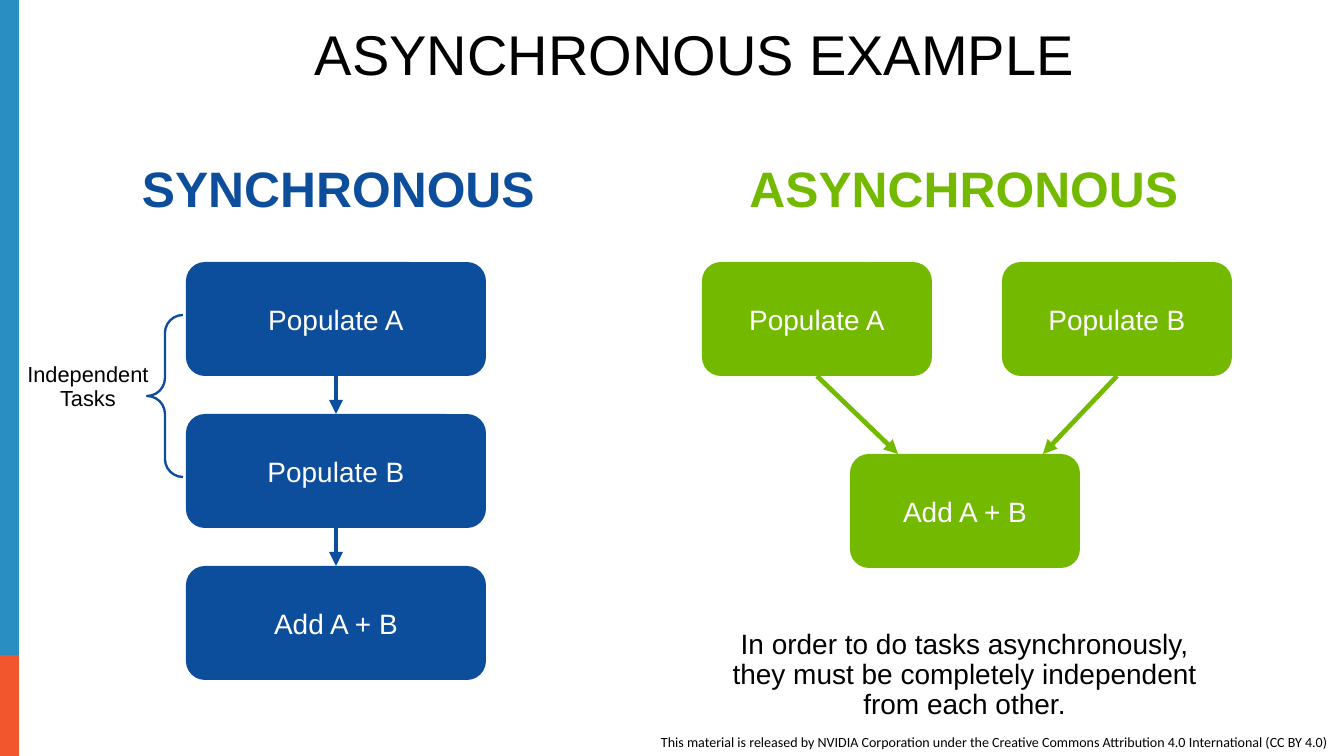
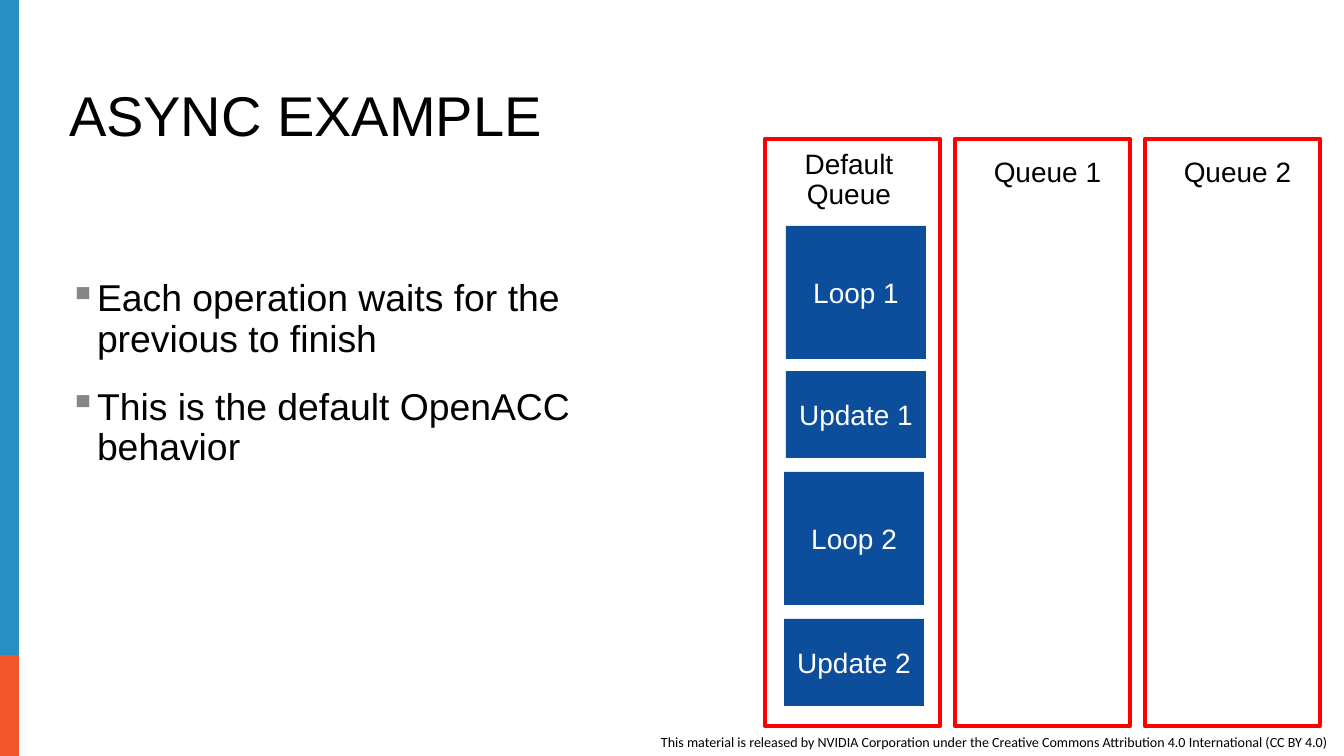
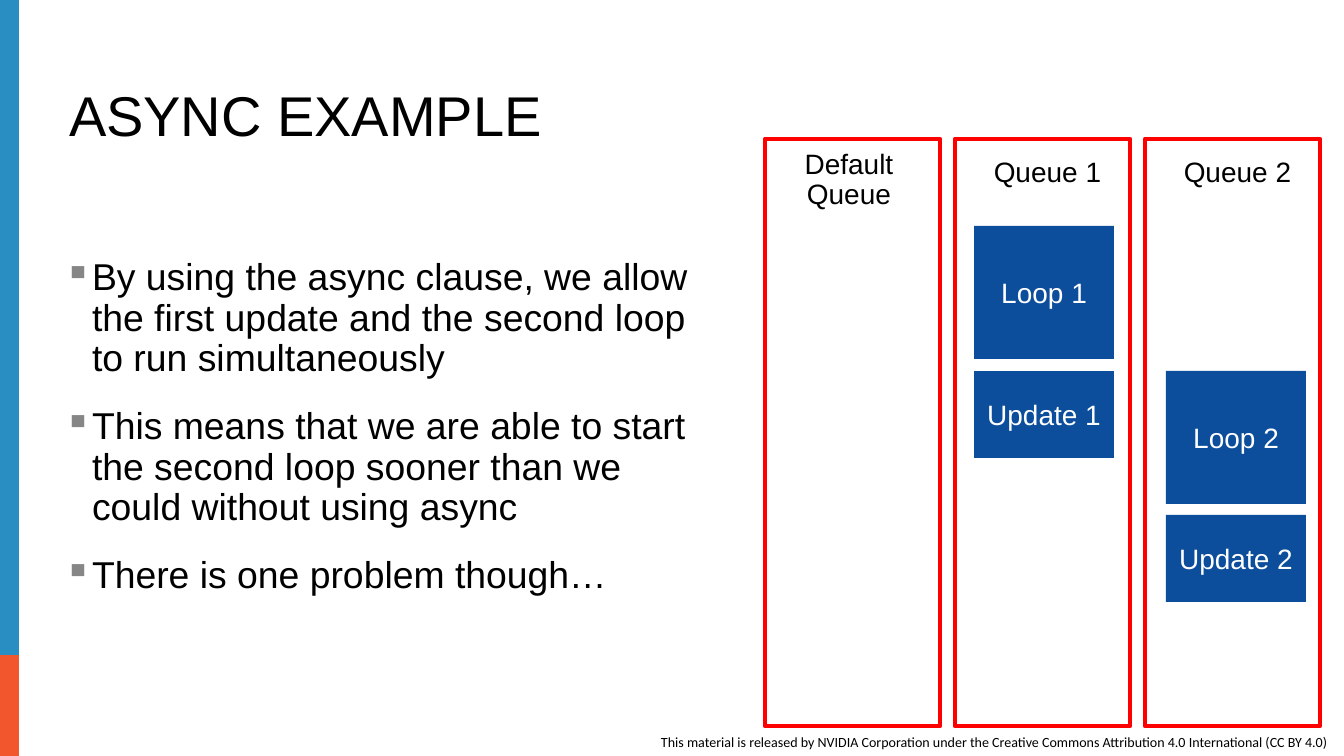
from lxml import etree
from pptx import Presentation
from pptx.dml.color import RGBColor
from pptx.enum.shapes import MSO_CONNECTOR, MSO_SHAPE
from pptx.enum.text import MSO_ANCHOR, PP_ALIGN
from pptx.oxml.ns import qn
from pptx.util import Emu, Pt

LEFT, CENTER = PP_ALIGN.LEFT, PP_ALIGN.CENTER
TOP, MIDDLE, BOTTOM = MSO_ANCHOR.TOP, MSO_ANCHOR.MIDDLE, MSO_ANCHOR.BOTTOM
RECTANGLE, ROUNDED = MSO_SHAPE.RECTANGLE, MSO_SHAPE.ROUNDED_RECTANGLE
BRACE, STRAIGHT = MSO_SHAPE.LEFT_BRACE, MSO_CONNECTOR.STRAIGHT
SIDE_TOP, SIDE_BOTTOM = 0, 2

PIXEL = 914400 / 112
COLORS = {
    "blue": "0C4E9B", "green": "73B900", "red": "FF0000", "gray": "868686",
    "black": "000000", "white": "FFFFFF", "band": "298EC2", "accent": "F1562D",
}
FOOTER = ("This material is released by NVIDIA Corporation under the "
          "Creative Commons Attribution 4.0 International (CC BY 4.0)")
QUEUE_LEFT, QUEUE_PITCH = 765, 190
TASK_HEIGHTS = {"Loop": 133, "Update": 87}


def px(length):
    return Emu(round(length * PIXEL))


def color(name):
    return RGBColor.from_string(COLORS[name])


class Deck:
    """Holds the shared style and the slide being built."""

    def __init__(self):
        self.deck = Presentation()
        self.deck.slide_width, self.deck.slide_height = px(1344), px(756)
        self.slide = None

    def page(self, title, area):
        self.slide = self.deck.slides.add_slide(self.deck.slide_layouts[6])
        self.shape(RECTANGLE, (-3, 568, 22, 188), fill="accent")
        self.shape(RECTANGLE, (-3, 0, 22, 655), fill="band")
        self.text([FOOTER], (650, 728, 757, 28), 9, font="Calibri",
                  align=LEFT, anchor=TOP, spacing=1)
        self.text([title], area, 36, align=LEFT, anchor=BOTTOM)

    def shape(self, kind, area, fill=None, line=None, width=3):
        shape = self.slide.shapes.add_shape(kind, *map(px, area))
        shape.shadow.inherit = False
        if fill:
            shape.fill.solid()
            shape.fill.fore_color.rgb = color(fill)
        else:
            shape.fill.background()
        if line:
            shape.line.color.rgb = color(line)
            shape.line.width = Pt(width)
        else:
            shape.line.fill.background()
        return shape

    def task(self, label, area, fill="blue", kind=RECTANGLE):
        shape = self.shape(kind, area, fill)
        self.set_text(shape.text_frame, [label], 18, "white", spacing=1)
        return shape

    def set_text(self, frame, lines, size, ink="black", font="Arial", bold=False,
                 align=CENTER, anchor=MIDDLE, spacing=0.9, wrap=True, bullets=False):
        frame.word_wrap = wrap
        frame.vertical_anchor = anchor
        for index, line in enumerate(lines):
            para = frame.paragraphs[0] if index == 0 else frame.add_paragraph()
            para.text = line
            para.alignment = align
            para.line_spacing = spacing
            if bullets:
                self.bullet(para)
                para.space_before = Pt(9 if index else 0)
                para.space_after = Pt(9)
            para.font.name, para.font.size = font, Pt(size)
            para.font.bold = bold
            para.font.color.rgb = color(ink)

    def bullet(self, para):
        properties = para._p.get_or_add_pPr()
        properties.set("marL", str(px(28)))
        properties.set("indent", str(px(-28)))
        tint = etree.SubElement(properties, qn("a:buClr"))
        etree.SubElement(tint, qn("a:srgbClr"), val=COLORS["gray"])
        etree.SubElement(properties, qn("a:buChar"), char="▪")

    def text(self, lines, area, size, **style):
        box = self.slide.shapes.add_textbox(*map(px, area))
        self.set_text(box.text_frame, lines, size, **style)

    def bullets(self, lines, area):
        self.text(lines, area, 24, align=LEFT, anchor=TOP, bullets=True)

    def arrow(self, source, ink, target=None, end=(0, 0)):
        line = self.slide.shapes.add_connector(STRAIGHT, 0, 0, *map(px, end))
        line.begin_connect(source, SIDE_BOTTOM)
        if target:
            line.end_connect(target, SIDE_TOP)
        line.line.color.rgb = color(ink)
        line.line.width = Pt(3)
        properties = line._element.spPr
        etree.SubElement(properties.find(qn("a:ln")), qn("a:tailEnd"), type="triangle")
        etree.SubElement(properties, qn("a:effectLst"))

    def queues(self, tasks):
        for queue, inset, top, label in tasks:
            left = QUEUE_LEFT + queue * QUEUE_PITCH + inset
            self.task(label, (left, top, 140, TASK_HEIGHTS[label.split()[0]]))
        for queue, label in enumerate(["Default\nQueue", "Queue 1", "Queue 2"]):
            left = QUEUE_LEFT + queue * QUEUE_PITCH
            self.shape(RECTANGLE, (left, 139, 175, 587), line="red")
            area = (left + 26, 153, 133, 41) if queue else (left + 12, 144, 144, 73)
            self.text([label], area, 18)


def comparison_page(deck):
    deck.page("ASYNCHRONOUS EXAMPLE", (304, 20, 799, 73))
    steps = [deck.task(label, (186, 262 + 152 * row, 300, 114), "blue", ROUNDED)
             for row, label in enumerate(["Populate A", "Populate B", "Add A + B"])]
    for source, target in zip(steps, steps[1:]):
        deck.arrow(source, "blue", target)

    for label, left, arrow_end in [("Populate A", 702, 898), ("Populate B", 1002, 1043)]:
        source = deck.task(label, (left, 262, 230, 114), "green", ROUNDED)
        deck.arrow(source, "green", end=(arrow_end, 454))
    deck.task("Add A + B", (850, 454, 230, 114), "green", ROUNDED)

    for heading, left, width, ink in [("SYNCHRONOUS", 129, 419, "blue"),
                                      ("ASYNCHRONOUS", 736, 456, "green")]:
        deck.text([heading], (left, 158, width, 66), 32, ink=ink, bold=True, wrap=False)

    brace = deck.shape(BRACE, (147, 315, 36, 162), line="blue", width=1.5)
    brace.adjustments[0] = 0.5
    deck.text(["Independent", "Tasks"], (16, 358, 144, 59), 14, wrap=False)
    deck.text(["In order to do tasks asynchronously, they must be completely "
               "independent from each other."], (717, 624, 495, 103), 18)


def queue_page(deck, points, area, tasks):
    deck.page("ASYNC EXAMPLE", (58, 81, 1222, 73))
    deck.bullets(points, area)
    deck.queues(tasks)


def main():
    deck = Deck()
    comparison_page(deck)
    queue_page(
        deck,
        ["Each operation waits for the previous to finish",
         "This is the default OpenACC behavior"],
        (58, 274, 609, 258),
        [(0, 21, 226, "Loop 1"), (0, 21, 371, "Update 1"),
         (0, 19, 472, "Loop 2"), (0, 19, 619, "Update 2")])
    queue_page(
        deck,
        ["By using the async clause, we allow the first update and the second "
         "loop to run simultaneously",
         "This means that we are able to start the second loop sooner than we "
         "could without using async",
         "There is one problem though…"],
        (53, 253, 665, 456),
        [(1, 19, 226, "Loop 1"), (1, 19, 371, "Update 1"),
         (2, 21, 371, "Loop 2"), (2, 21, 515, "Update 2")])
    deck.deck.save("out.pptx")


if __name__ == "__main__":
    main()
